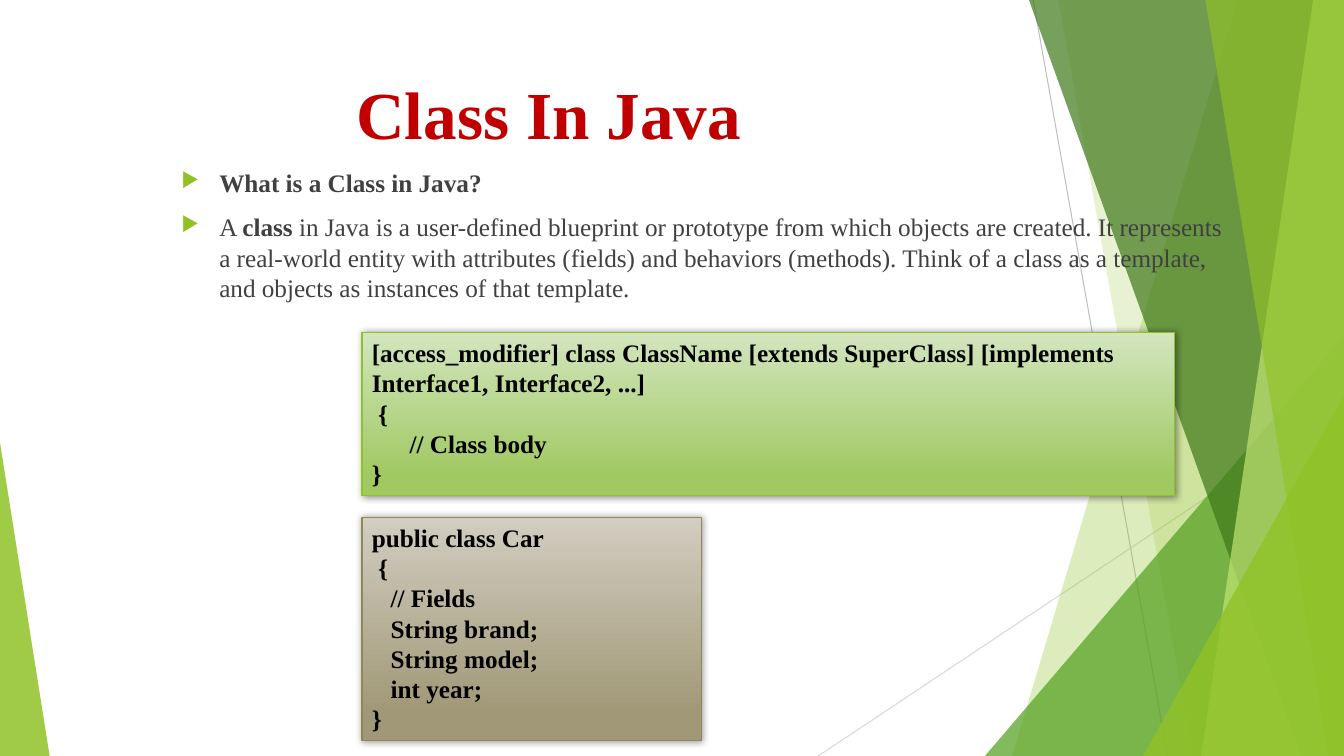
"""Build the Class In Java slide with its green facet border."""
from dataclasses import dataclass
from typing import Any

from lxml import etree
from pptx import Presentation
from pptx import util as u
from pptx.dml.color import RGBColor
from pptx.enum import shapes, text
from pptx.oxml import ns


@dataclass(frozen=True)
class Theme:
    font: str = "Times New Roman"
    head: float = 48
    body: float = 18
    red: str = "C00000"
    ink: str = "404040"
    black: str = "000000"
    lime: str = "90C226"
    green: str = "54A021"
    dark: str = "3F7819"
    pale: str = "C0E474"


@dataclass(frozen=True)
class Box:
    left: float
    top: float
    width: float
    height: float

    def points(self) -> tuple[u.Pt, ...]:
        return tuple(u.Pt(n) for n in (self.left, self.top, self.width, self.height))


@dataclass(frozen=True)
class Ray:
    start: tuple[float, float]
    end: tuple[float, float]
    hue: str


@dataclass(frozen=True)
class Band:
    top: float
    foot: float
    hue: str
    alpha: int


@dataclass(frozen=True)
class Wedge:
    box: Box
    peak: float
    hue: str
    alpha: int


@dataclass(frozen=True)
class Code:
    box: Box
    light: str
    deep: str
    edge: str
    lines: tuple[tuple[int, str], ...]


T = Theme()
WIDE, HIGH = 960, 540
SPACE = T.body / 4

RAYS = (
    Ray((738, 0), (834, HIGH), "BFBFBF"),
    Ray((WIDE, 290), (584.5, HIGH), "D9D9D9"),
)
FACETS = (
    Band(884, 723, T.lime, 30),
    Band(756, 852, T.lime, 20),
    Wedge(Box(703.5, 240, 256.5, 300), 1, T.green, 72),
    Band(735, 929.5, T.dark, 70),
    Band(938, 858, T.pale, 70),
    Band(861, 949, T.lime, 65),
    Wedge(Box(816.5, 283, 143.5, 257), 1, T.lime, 80),
    Wedge(Box(0, 316, 35.5, 224), 0, T.lime, 85),
)
TITLE = Box(53.5, 48, 677, 104)
BODY = Box(122.5, 116, 766, 413)
POINTS = (
    (("What is a Class in Java?", True),),
    (
        ("A ", False),
        ("class", True),
        (" in Java is a user-defined blueprint or prototype from which objects are "
         "created. It represents a real-world entity with attributes (fields) and "
         "behaviors (methods). Think of a class as a template, and objects as "
         "instances of that template.", False),
    ),
)
CODES = (
    Code(Box(258.5, 369.5, 242.5, 159.5), "D1CDC0", "A19877", "918655", (
        (0, "public class Car"), (1, "{"), (3, "// Fields"),
        (3, "String brand;"), (3, "String model;"), (3, "int year;"), (0, "}"),
    )),
    Code(Box(258.5, 237.5, 580.5, 116.5), "D3E5BE", "A0C962", T.lime, (
        (0, "[access_modifier] class ClassName [extends SuperClass] "
            "[implements Interface1, Interface2, ...]"),
        (1, "{"), (6, "// Class body"), (0, "}"),
    )),
)


def tint(hue: str) -> RGBColor:
    return RGBColor.from_string(hue)


def add_tag(root: Any, tag: str, **attrs: object) -> Any:
    return etree.SubElement(root, ns.qn(tag), {k: str(v) for k, v in attrs.items()})


def style(run: Any, size: float, hue: str, bold: bool) -> None:
    run.font.name, run.font.size, run.font.bold = T.font, u.Pt(size), bold
    run.font.color.rgb = tint(hue)


def draw_ray(slide: Any, ray: Ray) -> None:
    ends = (u.Pt(n) for n in (*ray.start, *ray.end))
    line = slide.shapes.add_connector(shapes.MSO_CONNECTOR.STRAIGHT, *ends)
    line.line.color.rgb, line.line.width = tint(ray.hue), u.Pt(0.75)
    add_tag(line._element.spPr, "a:effectLst")


def draw_facet(slide: Any, facet: Band | Wedge) -> None:
    if isinstance(facet, Band):
        pen = slide.shapes.build_freeform(u.Pt(facet.top), 0)
        rest = ((WIDE, 0), (WIDE, HIGH), (facet.foot, HIGH))
        pen.add_line_segments([(u.Pt(x), u.Pt(y)) for x, y in rest], close=True)
        shape = pen.convert_to_shape()
    else:
        kind = shapes.MSO_SHAPE.ISOSCELES_TRIANGLE
        shape = slide.shapes.add_shape(kind, *facet.box.points())
        shape.adjustments[0] = facet.peak
    shape.shadow.inherit = False
    shape.line.fill.background()
    shape.fill.solid()
    shape.fill.fore_color.rgb = tint(facet.hue)
    paint = shape._element.spPr.find(ns.qn("a:solidFill"))[0]
    add_tag(paint, "a:alpha", val=facet.alpha * 1000)


def add_frame(slide: Any, box: Box) -> Any:
    frame = slide.shapes.add_textbox(*box.points()).text_frame
    frame.word_wrap = True
    return frame


def draw_title(slide: Any) -> None:
    frame = add_frame(slide, TITLE)
    frame.text = "Class In Java"
    para = frame.paragraphs[0]
    para.alignment = text.PP_ALIGN.CENTER
    style(para.runs[0], T.head, T.red, True)


def draw_body(slide: Any) -> None:
    frame = add_frame(slide, BODY)
    for i, parts in enumerate(POINTS):
        para = frame.add_paragraph() if i else frame.paragraphs[0]
        para.space_before = u.Pt(10)
        props = para._p.get_or_add_pPr()
        props.set("marL", str(u.Pt(27)))
        props.set("indent", str(u.Pt(-27)))
        add_tag(add_tag(props, "a:buClr"), "a:srgbClr", val=T.lime)
        add_tag(props, "a:buSzPct", val=80000)
        add_tag(props, "a:buChar", char="▶")
        for words, bold in parts:
            run = para.add_run()
            run.text = words
            style(run, T.body, T.ink, bold)


def draw_code(slide: Any, code: Code) -> None:
    shape = slide.shapes.add_shape(shapes.MSO_SHAPE.RECTANGLE, *code.box.points())
    shape.fill.gradient()
    shape.fill.gradient_angle = 270
    for stop, hue, place in zip(shape.fill.gradient_stops, (code.light, code.deep), (0, 0.88)):
        stop.color.rgb, stop.position = tint(hue), place
    shape.line.color.rgb, shape.line.width = tint(code.edge), u.Pt(1)
    shape.shadow.inherit = False
    glow = add_tag(shape._element.spPr.find(ns.qn("a:effectLst")), "a:outerShdw",
                   blurRad=u.Pt(5), dist=0, dir=0, rotWithShape=0)
    add_tag(add_tag(glow, "a:srgbClr", val=T.black), "a:alpha", val=40000)
    frame = shape.text_frame
    frame.word_wrap = True
    frame.auto_size = text.MSO_AUTO_SIZE.SHAPE_TO_FIT_TEXT
    frame.vertical_anchor = text.MSO_ANCHOR.TOP
    frame.text = "\n".join(words for _, words in code.lines)
    for para, (depth, _) in zip(frame.paragraphs, code.lines):
        para.alignment = text.PP_ALIGN.LEFT
        para._p.get_or_add_pPr().set("marL", str(u.Pt(depth * SPACE)))
        style(para.runs[0], T.body, T.black, True)


def main() -> None:
    deck = Presentation()
    deck.slide_width, deck.slide_height = u.Pt(WIDE), u.Pt(HIGH)
    slide = deck.slides.add_slide(deck.slide_layouts[6])
    for ray in RAYS:
        draw_ray(slide, ray)
    for facet in FACETS:
        draw_facet(slide, facet)
    draw_title(slide)
    draw_body(slide)
    for code in CODES:
        draw_code(slide, code)
    deck.save("out.pptx")


if __name__ == "__main__":
    main()
